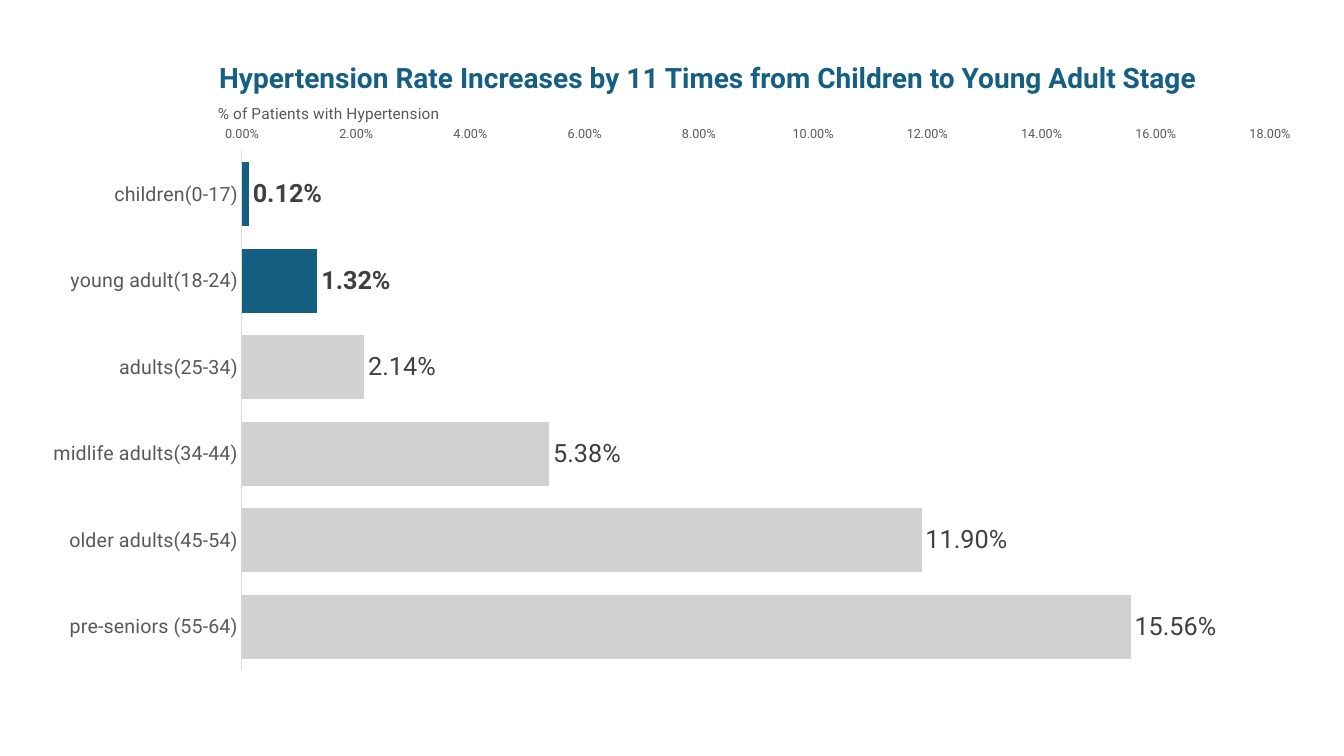
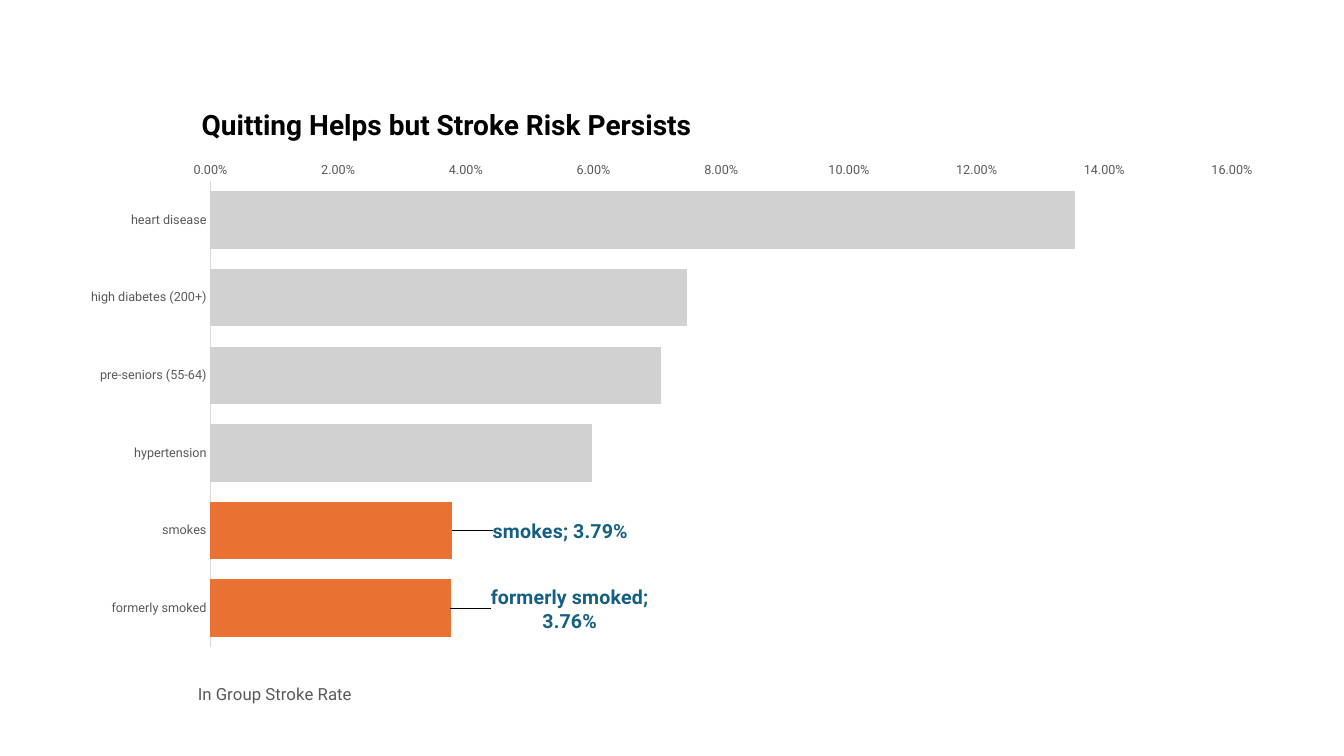
from lxml.etree import SubElement
from pptx import Presentation
from pptx.chart.data import CategoryChartData
from pptx.dml.color import RGBColor
from pptx.enum.chart import XL_CHART_TYPE, XL_LABEL_POSITION, XL_TICK_MARK
from pptx.enum.text import MSO_ANCHOR, PP_ALIGN
from pptx.oxml import parse_xml
from pptx.oxml.ns import nsdecls, qn
from pptx.util import Inches, Pt

TEAL = RGBColor(0x15, 0x60, 0x82)
ORANGE = RGBColor(0xE9, 0x71, 0x32)
PALE_GREY = RGBColor(0xD1, 0xD1, 0xD1)
AXIS_GREY = RGBColor(0xD9, 0xD9, 0xD9)
TEXT_GREY = RGBColor(0x59, 0x59, 0x59)
DARK_GREY = RGBColor(0x40, 0x40, 0x40)
BLACK = RGBColor(0, 0, 0)

FONT = "Roboto"
PERCENT = "0.00%"
TITLE_ONLY = 5
LEADER_LINES = (
    f'<c:extLst {nsdecls("c")}><c:ext uri="{{CE6537A1-D6FC-4f65-9D91-7224C49458BB}}" '
    'xmlns:c15="http://schemas.microsoft.com/office/drawing/2012/chart">'
    '<c15:showLeaderLines val="1"/></c:ext></c:extLst>'
)


def set_format(target, **values):
    for attribute, value in values.items():
        setattr(target, attribute, value)


def set_font(font, size, color, bold=False):
    set_format(font, name=FONT, size=Pt(size), bold=bold)
    font.color.rgb = color


def place(parent, index, **percents):
    """Give a chart part a manual layout, in percent of the chart's size."""
    for old in parent.findall(qn("c:layout")):
        parent.remove(old)
    layout = parse_xml(f'<c:layout {nsdecls("c")}><c:manualLayout/></c:layout>')
    for tag, value in percents.items():
        text = value if isinstance(value, str) else f"{value / 100:.4f}"
        SubElement(layout[0], qn(f"c:{tag}")).set("val", text)
    parent.insert(index, layout)


class RateDeck:
    """Slides with a headline and one ranked bar chart; lengths are percents."""

    def __init__(self):
        self.deck = Presentation()
        set_format(self.deck, slide_width=Inches(13.33), slide_height=Inches(7.5))
        self.slide = None

    def box(self, left, top, width, height):
        across, down = self.deck.slide_width / 100, self.deck.slide_height / 100
        return (round(left * across), round(top * down),
                round(width * across), round(height * down))

    def add_slide(self, headline, left, top, color):
        self.slide = self.deck.slides.add_slide(self.deck.slide_layouts[TITLE_ONLY])
        title = self.slide.shapes.title
        sides = ("left", "top", "width", "height")
        set_format(title, **dict(zip(sides, self.box(left, top, 80, 5.4))))
        frame = title.text_frame
        set_format(frame, text=headline, word_wrap=True,
                   vertical_anchor=MSO_ANCHOR.MIDDLE, margin_left=0,
                   margin_right=0, margin_top=0, margin_bottom=0)
        paragraph = frame.paragraphs[0]
        paragraph.alignment = PP_ALIGN.LEFT
        set_font(paragraph.runs[0].font, 20, color, bold=True)

    def add_bars(self, area, plot_area, rates, highlights, highlight_color):
        data = CategoryChartData(number_format=PERCENT)
        data.categories = list(rates)
        data.add_series("Series 1", list(rates.values()))
        chart = self.slide.shapes.add_chart(
            XL_CHART_TYPE.BAR_CLUSTERED, *self.box(*area), data).chart
        set_format(chart, has_title=False, has_legend=False)
        set_font(chart.font, 10, BLACK)
        chart_part = chart._chartSpace.find(qn("c:chart"))
        chart_part.addnext(parse_xml(
            f'<c:spPr {nsdecls("c", "a")}><a:noFill/><a:ln><a:noFill/></a:ln></c:spPr>'))
        x, y, w, h = plot_area
        place(chart_part.find(qn("c:plotArea")), 0, layoutTarget="inner",
              xMode="edge", yMode="edge", x=x, y=y, w=w, h=h)

        set_format(chart.plots[0], gap_width=35, vary_by_categories=False)
        bars = chart.plots[0].series[0]
        for index in range(len(rates)):
            fill = bars.points[index].format.fill
            fill.solid()
            fill.fore_color.rgb = highlight_color if index in highlights else PALE_GREY
        return chart

    def style_axes(self, chart, category_size, maximum, ticks, caption, caption_size, x, y):
        groups, scale = chart.category_axis, chart.value_axis
        set_format(groups, reverse_order=True, major_tick_mark=XL_TICK_MARK.NONE,
                   has_major_gridlines=False)
        set_font(groups.tick_labels.font, category_size, TEXT_GREY)
        groups.format.line.width = Pt(0.75)
        groups.format.line.color.rgb = AXIS_GREY

        set_format(scale, minimum_scale=0, maximum_scale=maximum, major_unit=0.02,
                   major_tick_mark=ticks, has_major_gridlines=False, has_title=True)
        set_font(scale.tick_labels.font, 9, TEXT_GREY)
        set_format(scale.tick_labels, number_format=PERCENT,
                   number_format_is_linked=False)
        scale.format.line.fill.background()
        frame = scale.axis_title.text_frame
        frame.text = caption
        set_font(frame.paragraphs[0].runs[0].font, caption_size, TEXT_GREY)
        place(scale.axis_title._element, 1, xMode="edge", yMode="edge", x=x, y=y)

    def label_all(self, chart, emphasized):
        bars = chart.plots[0].series[0]
        labels = bars.data_labels
        set_format(labels, show_value=True, number_format=PERCENT,
                   number_format_is_linked=False, position=XL_LABEL_POSITION.OUTSIDE_END)
        set_font(labels.font, 18, DARK_GREY)
        for index in emphasized:
            label = bars.points[index].data_label
            set_font(label.font, 18, DARK_GREY, bold=True)
            label.position = XL_LABEL_POSITION.OUTSIDE_END

    def call_out(self, chart, separators):
        """Label single bars with name and rate, set off by a leader line."""
        bars = chart.plots[0].series[0]
        bars.data_labels.show_value = False
        for index, separator in separators.items():
            label = bars.points[index].data_label
            set_font(label.font, 14, TEAL, bold=True)
            label.position = XL_LABEL_POSITION.OUTSIDE_END
            element = label._dLbl
            element.find(qn("c:showCatName")).set("val", "1")
            SubElement(element, qn("c:separator")).text = separator
            place(element, 1, x=3, y=0.2)
        bars.data_labels._element.append(parse_xml(LEADER_LINES))


def main():
    show = RateDeck()

    show.add_slide("Hypertension Rate Increases by 11 Times from Children to Young Adult Stage",
                   16.3, 7.5, TEAL)
    hypertension = {
        "children(0-17)": 0.0012, "young adult(18-24)": 0.0132,
        "adults(25-34)": 0.0214, "midlife adults(34-44)": 0.0538,
        "older adults(45-54)": 0.119, "pre-seniors (55-64)": 0.1556,
    }
    youngest = (0, 1)
    by_age = show.add_bars((2, 5.75, 95.85, 90.8), (16.7, 15.7, 79.8, 75.6),
                           hypertension, youngest, TEAL)
    show.style_axes(by_age, 14, 0.18, XL_TICK_MARK.OUTSIDE,
                    "% of Patients with Hypertension", 11, 14.6, 8.2)
    show.label_all(by_age, youngest)

    show.add_slide("Quitting Helps but Stroke Risk Persists", 15, 13.8, BLACK)
    stroke = {
        "heart disease": 0.1354, "high diabetes (200+)": 0.0746,
        "pre-seniors (55-64)": 0.0705, "hypertension": 0.0597,
        "smokes": 0.0379, "formerly smoked": 0.0376,
    }
    smokers = {4: "; ", 5: ";\n"}
    by_risk = show.add_bars((4.95, 10.95, 90, 82.9), (11.9, 15.8, 84.45, 74.6),
                            stroke, smokers, ORANGE)
    show.style_axes(by_risk, 9, 0.16, XL_TICK_MARK.NONE,
                    "In Group Stroke Rate", 12, 10.6, 95.6)
    show.call_out(by_risk, smokers)

    show.deck.save("out.pptx")


if __name__ == "__main__":
    main()
